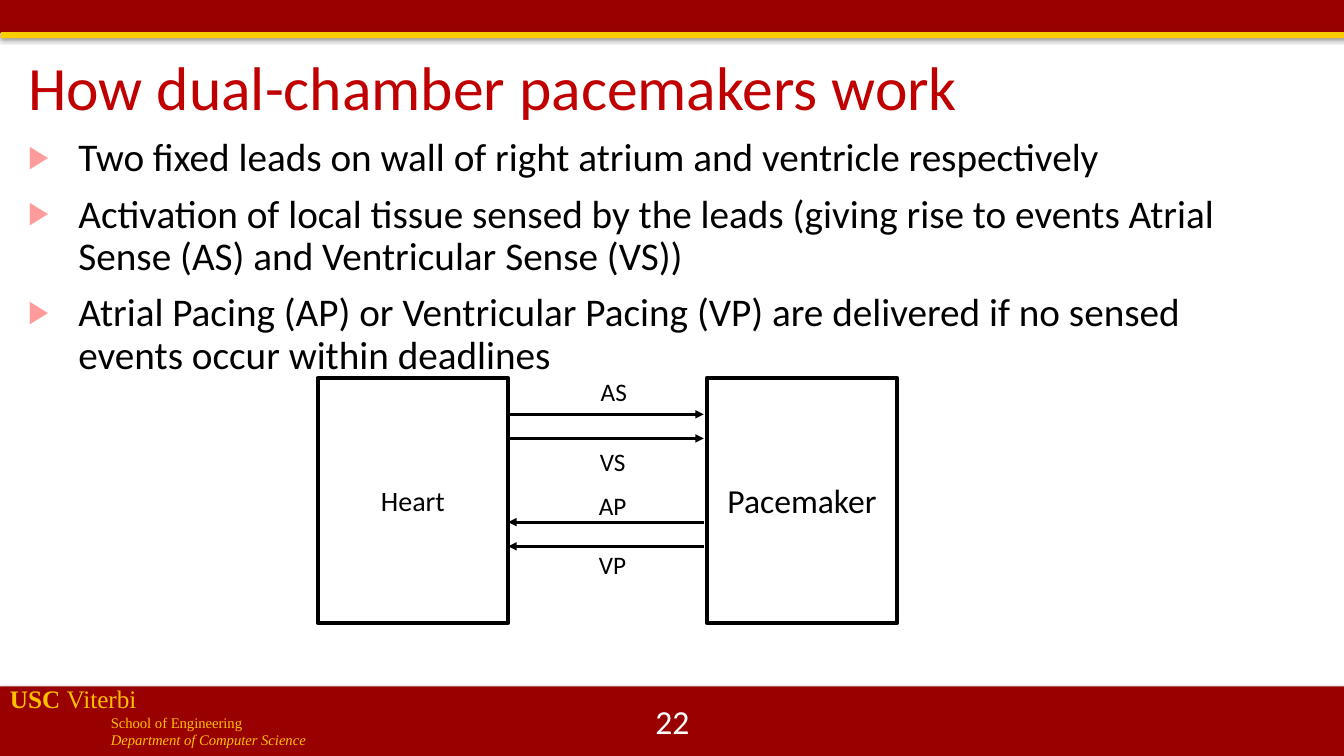
"""Build a slide on how dual-chamber pacemakers work."""
from lxml import etree
from pptx import Presentation
from pptx.dml.color import RGBColor
from pptx.enum.shapes import MSO_CONNECTOR, MSO_SHAPE
from pptx.enum.text import MSO_ANCHOR, MSO_AUTO_SIZE, PP_ALIGN
from pptx.oxml import parse_xml
from pptx.oxml.ns import qn
from pptx.util import Inches, Pt

RECT, STRAIGHT = MSO_SHAPE.RECTANGLE, MSO_CONNECTOR.STRAIGHT
TOP, MIDDLE = MSO_ANCHOR.TOP, MSO_ANCHOR.MIDDLE
LEFT, CENTER = PP_ALIGN.LEFT, PP_ALIGN.CENTER
NO_FIT = MSO_AUTO_SIZE.NONE
NS = 'xmlns:a="http://schemas.openxmlformats.org/drawingml/2006/main"'
BLACK, WHITE, CARDINAL, GOLD = "000000", "FFFFFF", "990000", "FFC000"


def rgb(code):
    return RGBColor.from_string(code)


def write(sp, paragraphs, size, color, align=LEFT, anchor=TOP, wrap=True, font="Calibri"):
    tf = sp.text_frame
    frame = {"word_wrap": wrap, "auto_size": NO_FIT, "vertical_anchor": anchor}
    for name, value in frame.items():
        setattr(tf, name, value)
    for i, runs in enumerate(paragraphs):
        p = tf.paragraphs[0] if i == 0 else tf.add_paragraph()
        p.alignment = align
        for text, extra in runs:
            r = p.add_run()
            r.text = text
            for name, value in {"name": font, "size": Pt(size), **extra}.items():
                setattr(r.font, name, value)
            r.font.color.rgb = rgb(color)
    return tf


prs = Presentation()
prs.slide_width, prs.slide_height = Inches(13.33), Inches(7.5)
s = prs.slides.add_slide(prs.slide_layouts[5])
title = s.shapes.title

bars = [
    (0, 0, 0.33, CARDINAL, 35, 1.8),
    (0.01, 0.32, 0.06, "FFCC00", 38, 1.6),
    (0, 6.81, 0.69, CARDINAL, 35, 1.8),
]
for x, y, h, color, alpha, dist in bars:
    sp = s.shapes.add_shape(RECT, Inches(x), Inches(y), Inches(13.33), Inches(h))
    sp.fill.solid()
    sp.fill.fore_color.rgb = rgb(color)
    sp.line.fill.background()
    sp.shadow.inherit = False
    sp._element.spPr.find(qn("a:effectLst")).append(parse_xml(
        f'<a:outerShdw {NS} blurRad="{Pt(3.1)}" dist="{Pt(dist)}" dir="5400000" rotWithShape="0">'
        f'<a:srgbClr val="{BLACK}"><a:alpha val="{alpha * 1000}"/></a:srgbClr></a:outerShdw>'))

sp = s.shapes.add_textbox(Inches(0), Inches(6.73), Inches(6.25), Inches(0.77))
small = {"size": Pt(10.5)}
school = [
    [("USC ", {"bold": True}), ("Viterbi", {})],
    [("School of Engineering", small)],
    [("Department of Computer Science", {**small, "italic": True})],
]
tf = write(sp, school, 18, GOLD, font="Times New Roman")
for p in tf.paragraphs[1:]:
    p._p.get_or_add_pPr().set("marL", str(Inches(1)))

sp = s.shapes.add_textbox(Inches(0.18), Inches(1.32), Inches(12.13), Inches(2.72))
points = [
    "Two fixed leads on wall of right atrium and ventricle respectively",
    "Activation of local tissue sensed by the leads (giving rise to events Atrial "
    "Sense (AS) and Ventricular Sense (VS))",
    "Atrial Pacing (AP) or Ventricular Pacing (VP) are delivered if no sensed "
    "events occur within deadlines",
]
tf = write(sp, [[(text, {})] for text in points], 28, BLACK)
for i, p in enumerate(tf.paragraphs):
    pPr = p._p.get_or_add_pPr()
    pPr.set("marL", str(Inches(0.5)))
    pPr.set("indent", str(Inches(-0.5)))
    for bullet in ('<a:buClr {}><a:srgbClr val="FF9B9B"/></a:buClr>',
                   '<a:buSzPct {} val="80000"/>',
                   '<a:buFont {} typeface="Calibri"/>',
                   '<a:buChar {} char="▶"/>'):
        pPr.append(parse_xml(bullet.format(NS)))
    p.line_spacing = 0.9
    p.space_before = Pt(10 if i else 0)

title.left, title.top = Inches(0.18), Inches(0.47)
title.width, title.height = Inches(11.94), Inches(0.85)
tf = write(title, [[("How dual-chamber pacemakers work", {})]], 44, "C00000", anchor=MIDDLE)
tf.paragraphs[0].line_spacing = 0.9

sp = s.shapes.add_textbox(Inches(5.17), Inches(6.95), Inches(3), Inches(0.4))
write(sp, [[("22", {})]], 24, WHITE, CENTER, MIDDLE)

for name, x, size in [("Heart", 3.15, 20), ("Pacemaker", 7.01, 24)]:
    sp = s.shapes.add_shape(RECT, Inches(x), Inches(3.75), Inches(1.89), Inches(2.43))
    sp.fill.solid()
    sp.fill.fore_color.rgb = rgb(WHITE)
    sp.line.color.rgb = rgb(BLACK)
    sp.line.width = Pt(2.75)
    sp.shadow.inherit = False
    write(sp, [[(name, {})]], size, BLACK, CENTER, MIDDLE)

heart_x, pacemaker_x = 5.04, 6.98
signals = [
    ("AS", heart_x, pacemaker_x, 4.11, 5.86, 3.68),
    ("VS", heart_x, pacemaker_x, 4.35, 5.85, 4.38),
    ("AP", pacemaker_x, heart_x, 5.18, 5.84, 4.82),
    ("VP", pacemaker_x, heart_x, 5.42, 5.84, 5.4),
]
for name, x1, x2, y, label_x, label_y in signals:
    arrow = s.shapes.add_connector(STRAIGHT, Inches(x1), Inches(y), Inches(x2), Inches(y))
    arrow.line.color.rgb = rgb(BLACK)
    arrow.line.width = Pt(2)
    etree.SubElement(arrow.line._get_or_add_ln(), qn("a:tailEnd"), type="triangle")
    etree.SubElement(arrow._element.spPr, qn("a:effectLst"))
    sp = s.shapes.add_textbox(Inches(label_x), Inches(label_y), Inches(0.48), Inches(0.4))
    write(sp, [[(name, {})]], 18, BLACK, wrap=False)

prs.save("out.pptx")
